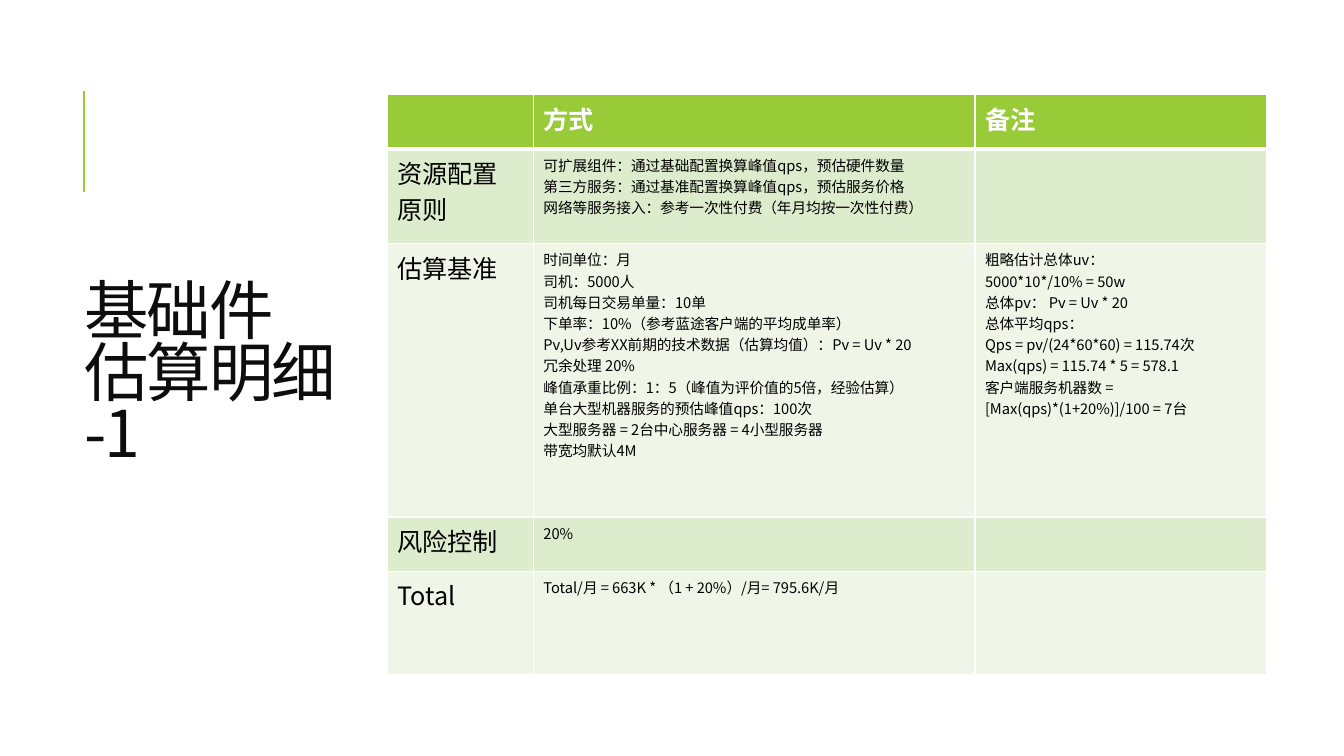
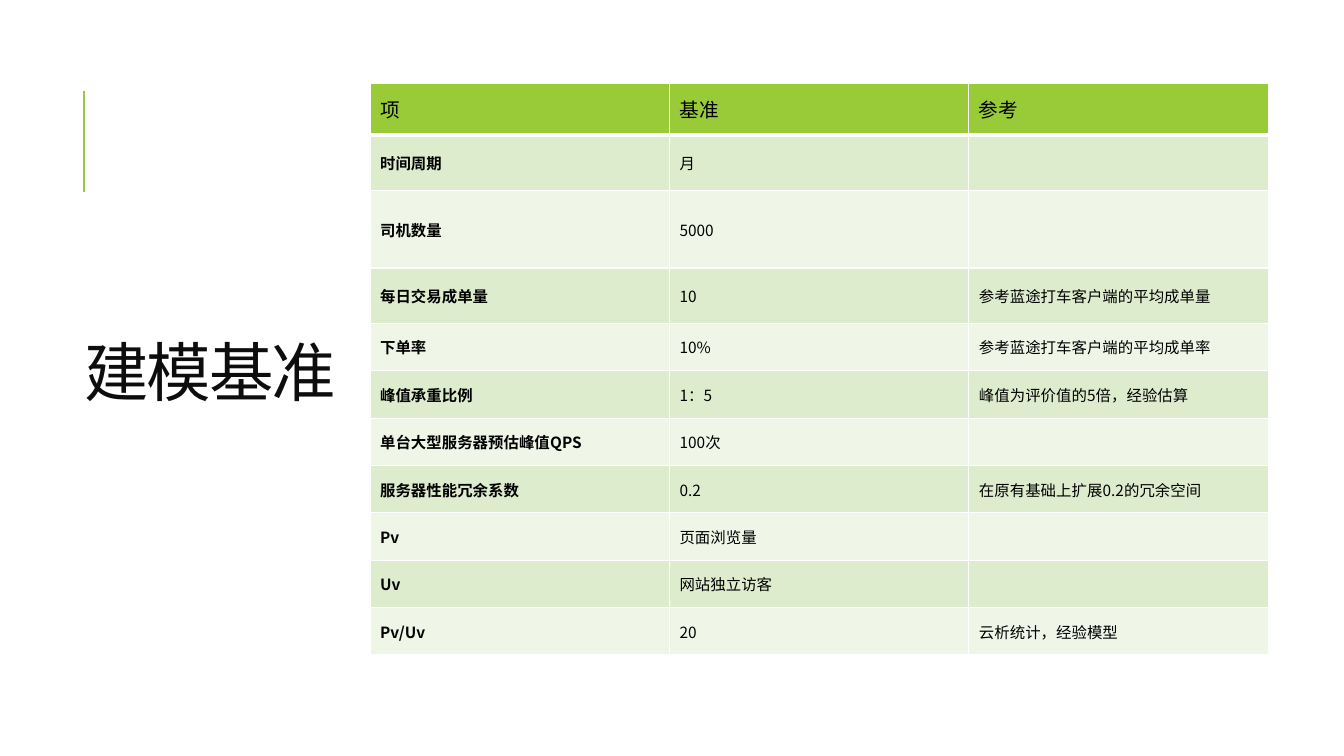
from dataclasses import dataclass

from lxml import etree
from pptx import Presentation
from pptx.dml.color import RGBColor
from pptx.enum import shapes, text
from pptx.oxml import ns
from pptx.slide import Slide
from pptx.table import _Cell
from pptx.text.text import TextFrame
from pptx.util import Inches, Pt

FONT = "Noto Sans CJK SC"
GREEN = RGBColor(0x99, 0xCB, 0x38)
PALE_GREEN = RGBColor(0xDE, 0xEC, 0xCE)
MIST_GREEN = RGBColor(0xEF, 0xF6, 0xE8)
WHITE = RGBColor(0xFF, 0xFF, 0xFF)
BLACK = RGBColor(0x00, 0x00, 0x00)
TITLE_INK = RGBColor(0x0D, 0x0D, 0x0D)
THIN, THICK = 1, 3


@dataclass(frozen=True)
class TextStyle:
    size: float
    color: RGBColor = BLACK
    bold: bool = False
    tracking: float = 0


@dataclass(frozen=True)
class Grid:
    left: float
    top: float
    columns: list[float]
    heights: list[float]
    rows: list[tuple[str, str, str]]
    header: TextStyle
    label: TextStyle
    detail: TextStyle
    anchor: text.MSO_ANCHOR


@dataclass(frozen=True)
class Page:
    title: str
    grid: Grid


TITLE = TextStyle(46, TITLE_INK, tracking=-1.5)

ESTIMATE = Page(
    "基础件\v估算明细\v-1",
    Grid(
        left=3.84,
        top=0.94,
        columns=[1.45, 4.38, 2.89],
        heights=[0.54, 0.94, 2.71, 0.54, 1.02],
        rows=[
            ("", "方式", "备注"),
            (
                "资源配置\n原则",
                "可扩展组件：通过基础配置换算峰值qps，预估硬件数量\n"
                "第三方服务：通过基准配置换算峰值qps，预估服务价格\n"
                "网络等服务接入：参考一次性付费（年月均按一次性付费）",
                "",
            ),
            (
                "估算基准",
                "时间单位：月\n"
                "司机：5000人\n"
                "司机每日交易单量：10单\n"
                "下单率：10%（参考蓝途客户端的平均成单率）\n"
                "Pv,Uv参考XX前期的技术数据（估算均值）：Pv = Uv * 20\n"
                "冗余处理 20%\n"
                "峰值承重比例：1：5（峰值为评价值的5倍，经验估算）\n"
                "单台大型机器服务的预估峰值qps：100次\n"
                "大型服务器 = 2台中心服务器 = 4小型服务器\n"
                "带宽均默认4M",
                "粗略估计总体uv：\n"
                "5000*10*/10% = 50w\n"
                "总体pv： Pv = Uv * 20\n"
                "总体平均qps：\n"
                "Qps = pv/(24*60*60) = 115.74次\n"
                "Max(qps) = 115.74 * 5 = 578.1\n"
                "客户端服务机器数 =\n"
                "[Max(qps)*(1+20%)]/100 = 7台",
            ),
            ("风险控制", "20%", ""),
            ("Total", "Total/月 = 663K * （1 + 20%）/月= 795.6K/月", ""),
        ],
        header=TextStyle(18, WHITE, bold=True),
        label=TextStyle(18),
        detail=TextStyle(10.5),
        anchor=text.MSO_ANCHOR.TOP,
    ),
)

BASELINE = Page(
    "建模基准",
    Grid(
        left=3.67,
        top=0.83,
        columns=[2.97] * 3,
        heights=[0.51, 0.55, 0.77, 0.55] + [0.47] * 7,
        rows=[
            ("项", "基准", "参考"),
            ("时间周期", "月", ""),
            ("司机数量", "5000", ""),
            ("每日交易成单量", "10", "参考蓝途打车客户端的平均成单量"),
            ("下单率", "10%", "参考蓝途打车客户端的平均成单率"),
            ("峰值承重比例", "1：5", "峰值为评价值的5倍，经验估算"),
            ("单台大型服务器预估峰值QPS", "100次", ""),
            ("服务器性能冗余系数", "0.2", "在原有基础上扩展0.2的冗余空间"),
            ("Pv", "页面浏览量", ""),
            ("Uv", "网站独立访客", ""),
            ("Pv/Uv", "20", "云析统计，经验模型"),
        ],
        header=TextStyle(14),
        label=TextStyle(11, bold=True),
        detail=TextStyle(11),
        anchor=text.MSO_ANCHOR.MIDDLE,
    ),
)


def write(frame: TextFrame, content: str, style: TextStyle) -> None:
    for index, line in enumerate(content.split("\n")):
        paragraph = frame.paragraphs[0] if index == 0 else frame.add_paragraph()
        paragraph.text = line
        font = paragraph.font
        font.name = FONT
        font.size = Pt(style.size)
        font.bold = style.bold
        font.color.rgb = style.color
        properties = paragraph._p.pPr.find(ns.qn("a:defRPr"))
        etree.SubElement(properties, ns.qn("a:ea"), typeface=FONT)
        if style.tracking:
            properties.set("spc", str(int(style.tracking * 100)))


def draw_borders(cell: _Cell, top: int, bottom: int) -> None:
    properties = cell._tc.get_or_add_tcPr()
    for side, width in (("L", THIN), ("R", THIN), ("T", top), ("B", bottom)):
        line = etree.SubElement(properties, ns.qn(f"a:ln{side}"), w=str(Pt(width)))
        fill = etree.SubElement(line, ns.qn("a:solidFill"))
        etree.SubElement(fill, ns.qn("a:srgbClr"), val=str(WHITE))


def draw_grid(slide: Slide, grid: Grid) -> None:
    table = slide.shapes.add_table(
        len(grid.rows), len(grid.columns),
        Inches(grid.left), Inches(grid.top),
        Inches(sum(grid.columns)), Inches(sum(grid.heights)),
    ).table
    for column, width in zip(table.columns, grid.columns):
        column.width = Inches(width)
    for row, height in zip(table.rows, grid.heights):
        row.height = Inches(height)
    for r, entries in enumerate(grid.rows):
        band = GREEN if r == 0 else (MIST_GREEN, PALE_GREEN)[r % 2]
        for c, content in enumerate(entries):
            cell = table.cell(r, c)
            draw_borders(cell, THICK if r == 1 else THIN, THICK if r == 0 else THIN)
            cell.fill.solid()
            cell.fill.fore_color.rgb = band
            cell.vertical_anchor = grid.anchor
            body = grid.label if c == 0 else grid.detail
            write(cell.text_frame, content, grid.header if r == 0 else body)


def draw_accent(slide: Slide) -> None:
    accent = slide.shapes.add_connector(
        shapes.MSO_CONNECTOR.STRAIGHT,
        Inches(0.83), Inches(1.9), Inches(0.83), Inches(0.9),
    )
    accent.line.color.rgb = GREEN
    accent.line.width = Pt(1.5)
    etree.SubElement(accent._element.spPr, ns.qn("a:effectLst"))


def draw_title(slide: Slide, title: str) -> None:
    frame = slide.shapes.add_textbox(
        Inches(0.84), Inches(0.7), Inches(3.21), Inches(6.09)
    ).text_frame
    frame.word_wrap = True
    frame.vertical_anchor = text.MSO_ANCHOR.MIDDLE
    frame.margin_left = frame.margin_right = 0
    frame.margin_top = frame.margin_bottom = 0
    write(frame, title, TITLE)
    frame.paragraphs[0].line_spacing = 0.8


def main() -> None:
    deck = Presentation()
    deck.slide_width = Inches(13.33)
    deck.slide_height = Inches(7.5)
    for page in (ESTIMATE, BASELINE):
        slide = deck.slides.add_slide(deck.slide_layouts[6])
        draw_accent(slide)
        draw_title(slide, page.title)
        draw_grid(slide, page.grid)
    deck.save("out.pptx")


if __name__ == "__main__":
    main()
